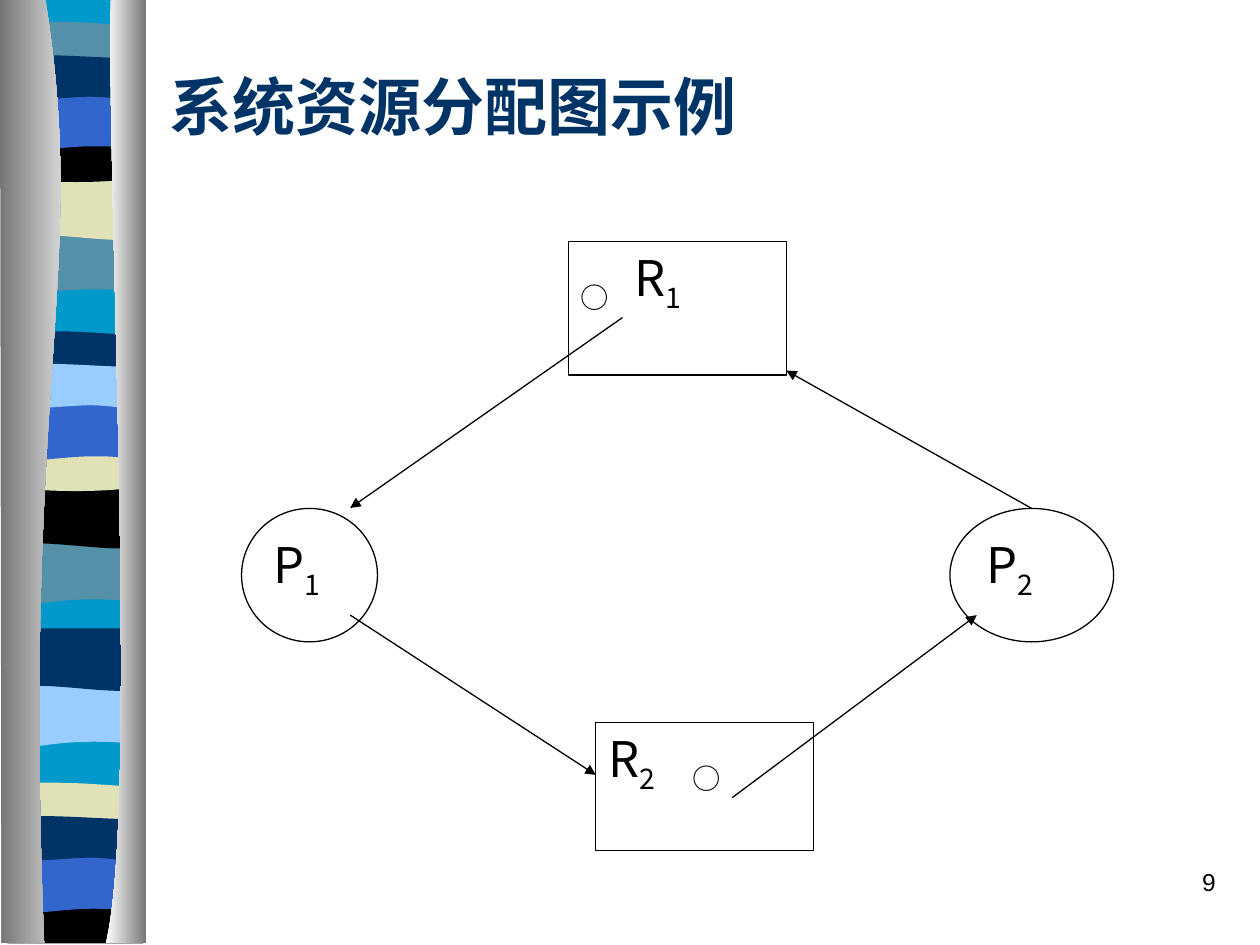
from lxml import etree
from pptx import Presentation
from pptx.dml.color import RGBColor
from pptx.enum.shapes import MSO_CONNECTOR, MSO_SHAPE
from pptx.enum.text import MSO_ANCHOR, PP_ALIGN
from pptx.oxml.ns import qn
from pptx.util import Cm, Pt

NAVY = RGBColor(0x00, 0x33, 0x66)
BLUE = RGBColor(0x33, 0x66, 0xCC)
CYAN = RGBColor(0x00, 0x99, 0xCC)
SKY = RGBColor(0x99, 0xCC, 0xFF)
TEAL = RGBColor(0x54, 0x90, 0xA8)
SAND = RGBColor(0xE1, 0xE1, 0xB7)
GRAY = RGBColor(0x76, 0x76, 0x76)
BLACK = RGBColor(0x00, 0x00, 0x00)
WHITE = RGBColor(0xFF, 0xFF, 0xFF)

CJK_FONT = "Noto Sans CJK SC"
FLAT = [(0, 0), (2.74, 0)]

SLAB = ([(2.74, 1.19), (0.84, 0.99), (0.46, 1.4), (0, 1.19)], FLAT)
RIDGE = ([(2.74, 1.19), (2.29, 1.4), (0.84, 1.04), (0, 1.19)], FLAT)
STRIP = ([(2.74, 0.74), (2.29, 0.84), (0.46, 0.84), (0, 0.74)],
         [(0, 0.13), (0.15, 0), (0.58, 0.03), (1.04, 0.03),
          (1.5, 0.03), (2.39, 0.1), (2.74, 0.13)])
CAP = ([(2.74, 0.81), (2.29, 0.97), (0.46, 0.97), (0, 0.81)],
       [(0, 0), (1.68, 0.13), (2.16, 0), (2.74, 0)])
BASE = ([(2.74, 0.94), (0, 0.94)], CAP[1])
ARCH = ([(2.74, 1.19), (2.31, 1.07), (2.13, 1.07), (1.68, 1.07),
         (1.22, 1.07), (0.41, 1.19), (0, 1.19)], FLAT)
WAVE = ([(2.74, 0.91), (2.57, 1.04), (2.13, 0.91), (1.68, 0.91),
         (1.22, 0.91), (0.28, 1.04), (0, 0.91)],
        [(0, 0.13), (0.38, 0), (1.85, 0.13), (2.31, 0.13),
         (2.77, 0.13), (2.64, 0.13), (2.74, 0.13)])

BANDS = [
    (SLAB, 4.7, TEAL), (RIDGE, 3.58, SAND), (STRIP, 0.41, TEAL),
    (CAP, 2.74, BLACK), (ARCH, 1.88, BLUE), (WAVE, 1.04, NAVY),
    (SLAB, 10.95, TEAL), (RIDGE, 9.8, BLACK), (STRIP, 6.65, NAVY),
    (CAP, 8.97, SAND), (ARCH, 8.13, BLUE), (WAVE, 7.26, SKY),
    (SLAB, 13.82, SKY), (RIDGE, 12.67, NAVY), (STRIP, 15.75, SAND),
    (BASE, 18.08, BLACK), (ARCH, 17.25, BLUE), (WAVE, 16.38, NAVY),
]
PANELS = [
    ([(0.91, -0.03), (1.8, 5.49), (0.43, 7.52), (0.89, 19.02)],
     [(0.03, 19.02), (0, -0.03)], GRAY, WHITE),
    ([(2.24, -0.03), (2.13, 3.18), (2.82, 16.41), (2.13, 19.02)],
     [(2.95, 19.02), (2.95, 0)], WHITE, GRAY),
]


def add_outline(group, edges, left, top):
    spots, curve_starts = [], []
    for edge in edges:
        if len(edge) > 2:
            first = len(spots) + 1
            curve_starts.extend(range(first, first + len(edge) - 1, 3))
        spots.extend((Cm(left + x), Cm(top + y)) for x, y in edge)
    builder = group.shapes.build_freeform(*spots[0])
    builder.add_line_segments(spots[1:], close=True)
    shape = builder.convert_to_shape()
    route = next(shape._element.iter(qn("a:path")))
    moves = list(route)
    for start in curve_starts:
        curve = etree.Element(qn("a:cubicBezTo"))
        moves[start].addprevious(curve)
        for move in moves[start:start + 3]:
            curve.append(move[0])
            route.remove(move)
    shape.shadow.inherit = False
    shape.line.fill.background()
    return shape


def add_ribbon(page, left, top):
    ribbon = page.shapes.add_group_shape()
    backdrop = [[(2.9, -0.03), (2.9, 18.97)], [(0.15, 18.97), (0.15, -0.03)]]
    outline = add_outline(ribbon, backdrop, left, top)
    outline.fill.solid()
    outline.fill.fore_color.rgb = CYAN
    for edges, offset, color in BANDS:
        band = add_outline(ribbon, edges, left + 0.15, top + offset)
        band.fill.solid()
        band.fill.fore_color.rgb = color
    for inner, outer, first, last in PANELS:
        panel = add_outline(ribbon, [inner, outer], left, top)
        panel.fill.gradient()
        panel.fill.gradient_angle = 0
        for stop, color in zip(panel.fill.gradient_stops, (first, last)):
            stop.color.rgb = color


def style_span(span, size, color, font=CJK_FONT):
    span.font.size = Pt(size)
    span.font.name = font
    span.font.color.rgb = color
    east_asian = etree.SubElement(span.font._element, qn("a:ea"))
    east_asian.set("typeface", font)


def add_label(page, left, top, width, height, text, size, color, font=CJK_FONT):
    box = page.shapes.add_textbox(Cm(left), Cm(top), Cm(width), Cm(height))
    box.text_frame.word_wrap = True
    para = box.text_frame.paragraphs[0]
    para.text = text
    style_span(para.runs[0], size, color, font)
    return box


def add_node(group, kind, left, top, width, height, pieces, tab=None):
    node = group.shapes.add_shape(kind, Cm(left), Cm(top), Cm(width), Cm(height))
    node.shadow.inherit = False
    node.fill.solid()
    node.fill.fore_color.rgb = WHITE
    node.line.color.rgb = BLACK
    node.line.width = Pt(0.75)
    node.text_frame.vertical_anchor = MSO_ANCHOR.TOP
    para = node.text_frame.paragraphs[0]
    para.alignment = PP_ALIGN.JUSTIFY
    if tab:
        stops = etree.SubElement(para._p.get_or_add_pPr(), qn("a:tabLst"))
        etree.SubElement(stops, qn("a:tab"), pos=str(Cm(tab)), algn="l")
    for text, lowered in pieces:
        span = para.add_run()
        span.text = text
        style_span(span, 28, BLACK)
        if lowered:
            span.font._element.set("baseline", "-25000")
    return node


def add_arrow(group, begin, end):
    arrow = group.shapes.add_connector(MSO_CONNECTOR.STRAIGHT,
                                       *(Cm(length) for length in begin + end))
    arrow.line.color.rgb = BLACK
    arrow.line.width = Pt(0.75)
    etree.SubElement(arrow.line._get_or_add_ln(), qn("a:tailEnd"), type="triangle")
    etree.SubElement(arrow._element.spPr, qn("a:effectLst"))
    return arrow


def add_allocation_graph(page, left, top):
    def place(x, y):
        return left + x, top + y

    graph = page.shapes.add_group_shape()
    rect, oval = MSO_SHAPE.RECTANGLE, MSO_SHAPE.OVAL
    add_node(graph, rect, *place(6.59, 0), 4.39, 2.69,
             [("○\t", True), ("R", False), ("1", True)], tab=1.09)
    add_node(graph, rect, *place(7.14, 9.69), 4.39, 2.59,
             [("R", False), ("2\t○", True)], tab=1.71)
    add_node(graph, oval, *place(0, 5.38), 2.74, 2.69, [("P", False), ("1", True)])
    process = add_node(graph, oval, *place(14.28, 5.38), 3.3, 2.69,
                       [("P", False), ("2", True)])
    add_arrow(graph, place(7.68, 1.53), place(2.19, 5.37))
    add_arrow(graph, place(2.19, 7.53), place(7.14, 10.75))
    add_arrow(graph, place(9.89, 11.21), place(14.82, 7.53))
    request = add_arrow(graph, place(15.93, 5.38), place(10.98, 2.6))
    request.begin_connect(process, 0)


def main():
    deck = Presentation()
    deck.slide_width, deck.slide_height = Cm(25.4), Cm(19.05)
    page = deck.slides.add_slide(deck.slide_layouts[6])
    add_ribbon(page, 0, 0)
    title = add_label(page, 3.17, 1.07, 22.22, 2.11, "系统资源分配图示例", 36, NAVY)
    title.text_frame.vertical_anchor = MSO_ANCHOR.MIDDLE
    title.text_frame.paragraphs[0].runs[0].font.bold = True
    add_allocation_graph(page, 4.87, 4.87)
    number = add_label(page, 19.48, 17.35, 5.28, 1.27, "9", 14, BLACK, "Arial")
    number.text_frame.paragraphs[0].alignment = PP_ALIGN.RIGHT
    deck.save("out.pptx")


if __name__ == "__main__":
    main()
